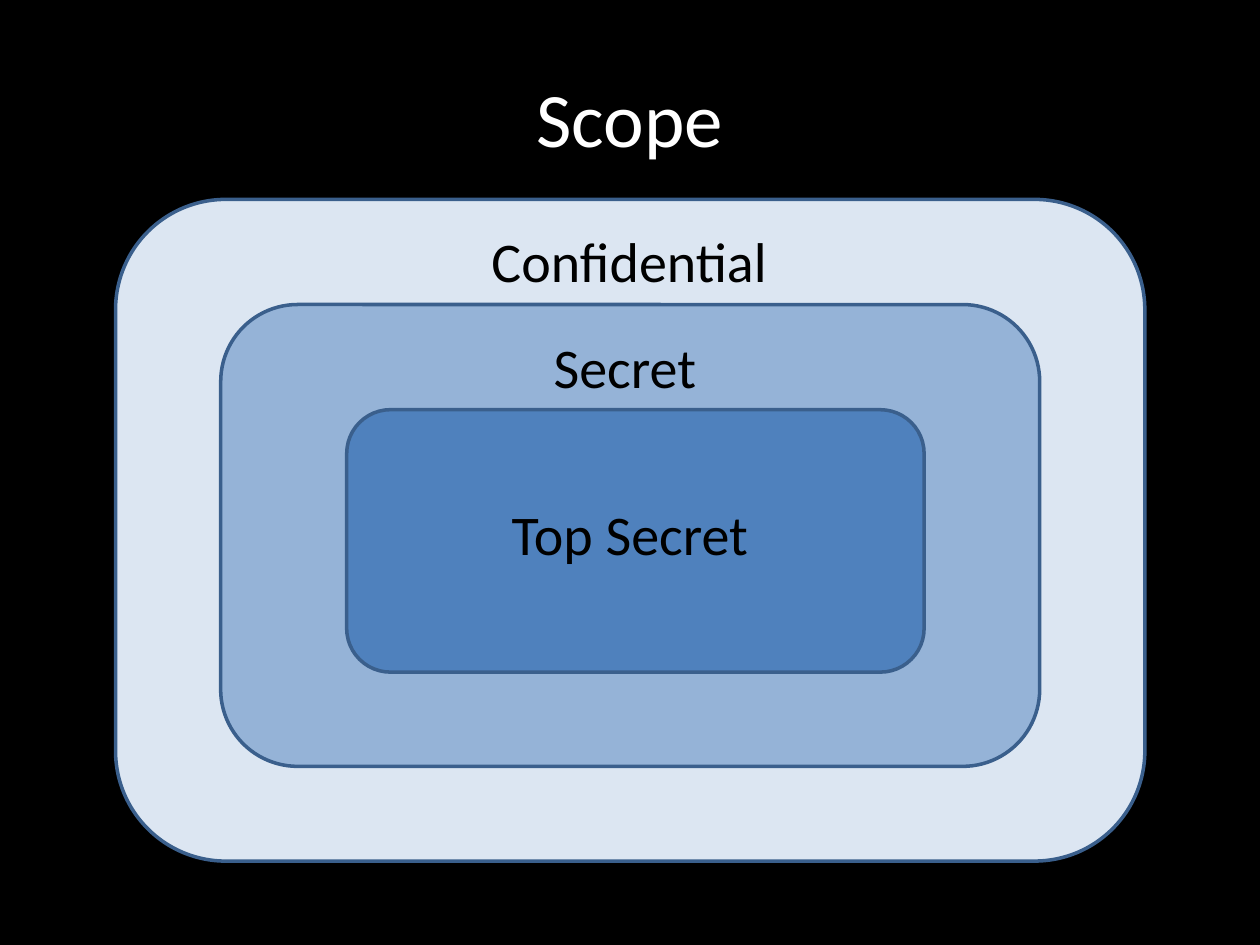
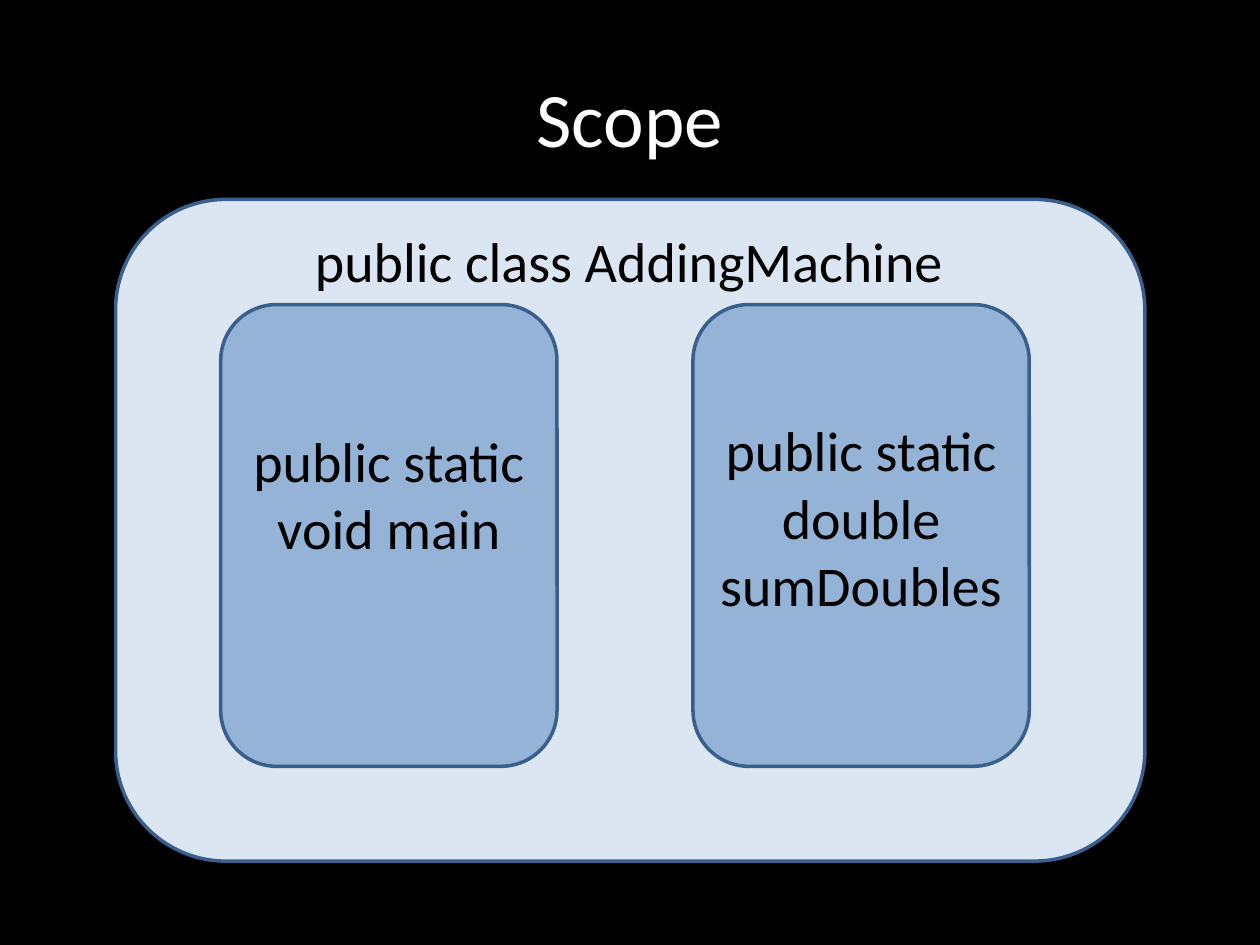
"""Build two slides that show scope as nested rounded boxes."""
from dataclasses import dataclass
from typing import NamedTuple

from pptx import Presentation
from pptx.dml.color import RGBColor as Color
from pptx.enum.shapes import MSO_SHAPE as Shape
from pptx.enum.text import MSO_ANCHOR as Anchor, PP_ALIGN as Align
from pptx.util import Cm, Pt


@dataclass(frozen=True)
class Theme:
    font: str = "Calibri"
    background: str = "000000"
    title: str = "FFFFFF"
    label: str = "000000"
    outline: str = "3A5F8C"
    levels: tuple = ("DCE6F2", "95B3D7", "4F81BD")
    title_size: int = 44
    label_size: int = 32
    outline_width: int = 2


class Scope(NamedTuple):
    label: str
    level: int
    left: float
    width: float
    label_left: float
    label_width: float
    label_drop: float = 0.43
    lines: int = 1


THEME = Theme()
TITLE_AREA = (1.27, 0.76, 22.86, 3.18)
OUTER_TOP, LEVEL_STEP = 4.02, 2.12
LEVEL_HEIGHTS = (13.34, 9.31, 5.29)
LINE_HEIGHT, LABEL_PADDING = 1.37, 0.25
METHOD_LEFT, METHOD_STEP, METHOD_WIDTH = 4.45, 9.52, 6.78
METHOD_LABEL_WIDTH = 6.35
METHODS = [
    ("public static void main", 2.33, 2),
    ("public static double sumDoubles", 2.12, 3),
]


def outer_scope(label):
    return Scope(label, 0, 2.33, 20.75, 5.28, 14.81)


def method_scope(index, label, drop, lines):
    left = METHOD_LEFT + index * METHOD_STEP
    label_left = left + (METHOD_WIDTH - METHOD_LABEL_WIDTH) / 2
    return Scope(label, 1, left, METHOD_WIDTH, label_left, METHOD_LABEL_WIDTH, drop, lines)


SLIDES = [
    ("Scope", [
        outer_scope("Confidential"),
        Scope("Secret", 1, 4.45, 16.51, 6.78, 11.64),
        Scope("Top Secret", 2, 6.99, 11.64, 7.62, 10.16, 1.69),
    ]),
    ("Scope", [
        outer_scope("public class AddingMachine"),
        *(method_scope(index, *method) for index, method in enumerate(METHODS)),
    ]),
]


def add_text(slide, area, text, size, color, anchor=Anchor.TOP):
    frame = slide.shapes.add_textbox(*map(Cm, area)).text_frame
    frame.word_wrap = True
    frame.vertical_anchor = anchor
    paragraph = frame.paragraphs[0]
    paragraph.alignment = Align.CENTER
    run = paragraph.add_run()
    run.text = text
    run.font.name = THEME.font
    run.font.size = Pt(size)
    run.font.color.rgb = Color.from_string(color)


def add_scope(slide, scope):
    top = OUTER_TOP + scope.level * LEVEL_STEP
    area = (scope.left, top, scope.width, LEVEL_HEIGHTS[scope.level])
    shape = slide.shapes.add_shape(Shape.ROUNDED_RECTANGLE, *map(Cm, area))
    shape.shadow.inherit = False
    shape.fill.solid()
    shape.fill.fore_color.rgb = Color.from_string(THEME.levels[scope.level])
    shape.line.color.rgb = Color.from_string(THEME.outline)
    shape.line.width = Pt(THEME.outline_width)
    label_height = LABEL_PADDING + scope.lines * LINE_HEIGHT
    label_area = (scope.label_left, top + scope.label_drop, scope.label_width, label_height)
    add_text(slide, label_area, scope.label, THEME.label_size, THEME.label)


def add_slide(presentation, title, scopes):
    slide = presentation.slides.add_slide(presentation.slide_layouts[6])
    slide.background.fill.solid()
    slide.background.fill.fore_color.rgb = Color.from_string(THEME.background)
    add_text(slide, TITLE_AREA, title, THEME.title_size, THEME.title, Anchor.MIDDLE)
    for scope in scopes:
        add_scope(slide, scope)


def main():
    presentation = Presentation()
    presentation.slide_width, presentation.slide_height = Cm(25.4), Cm(19.05)
    for title, scopes in SLIDES:
        add_slide(presentation, title, scopes)
    presentation.save("out.pptx")


if __name__ == "__main__":
    main()
